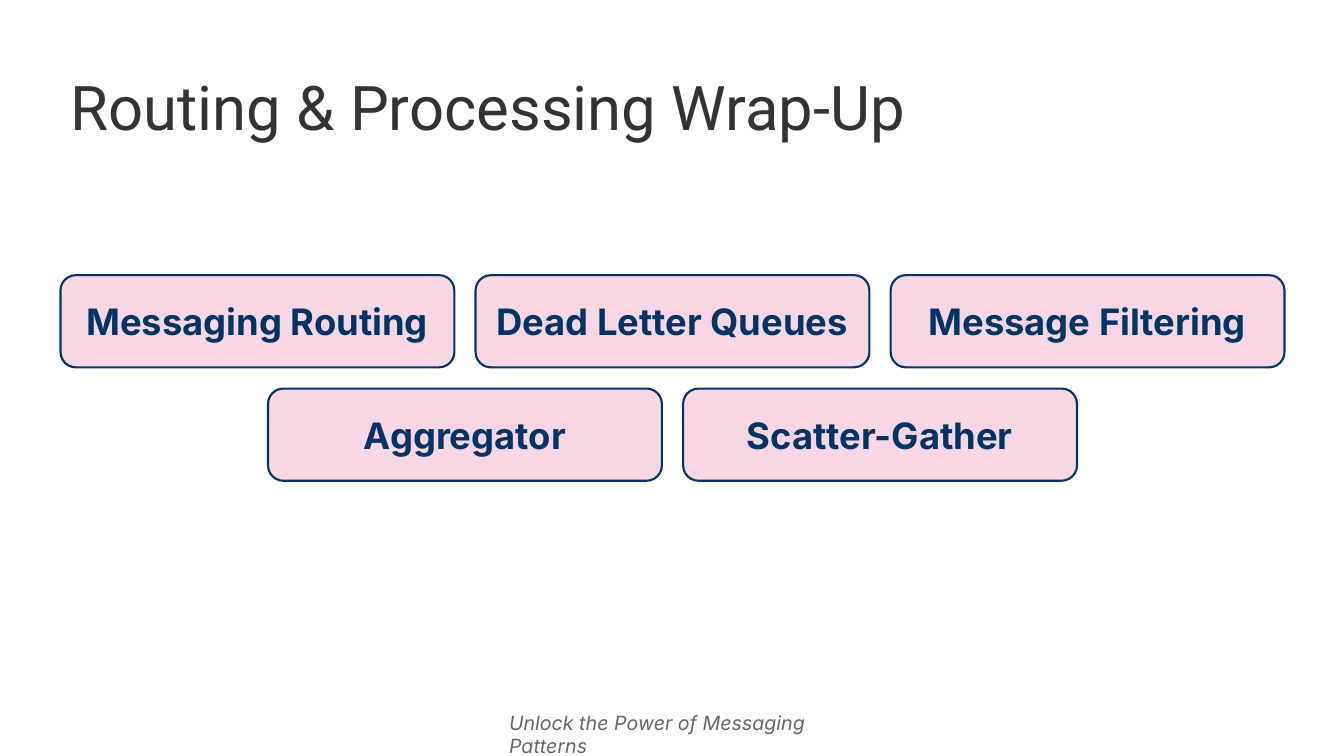
from dataclasses import dataclass

from lxml import etree
from pptx import Presentation
from pptx.dml.color import RGBColor
from pptx.enum.shapes import MSO_SHAPE
from pptx.enum.text import MSO_ANCHOR, PP_ALIGN
from pptx.oxml.ns import qn
from pptx.util import Inches, Pt

ROUNDED = MSO_SHAPE.ROUNDED_RECTANGLE
MIDDLE = MSO_ANCHOR.MIDDLE
LEFT, CENTER = PP_ALIGN.LEFT, PP_ALIGN.CENTER
TITLE_ONLY = 5


@dataclass(frozen=True)
class Theme:
    title_font: str = "Roboto"
    body_font: str = "Inter"
    title_color: str = "333333"
    card_ink: str = "003366"
    card_fill: str = "DD3377"
    footer_color: str = "666666"
    title_size: int = 44
    card_size: int = 26
    footer_size: int = 14
    card_opacity: int = 20
    card_line: float = 1.5


THEME = Theme()
TOPIC_ROWS = [
    ["Messaging Routing", "Dead Letter Queues", "Message Filtering"],
    ["Aggregator", "Scatter-Gather"],
]


def style(paragraph, name, size, color, align=LEFT):
    paragraph.alignment = align
    font = paragraph.font
    font.name, font.size = name, Pt(size)
    font.color.rgb = RGBColor.from_string(color)
    return font


def add_title(slide, box, text):
    title = slide.shapes.title
    title.left, title.top, title.width, title.height = map(Inches, box)
    frame = title.text_frame
    frame.text = text
    frame.vertical_anchor = MIDDLE
    paragraph = frame.paragraphs[0]
    paragraph.line_spacing = 0.9
    style(paragraph, THEME.title_font, THEME.title_size, THEME.title_color)


def add_footer(slide, box, text):
    frame = slide.shapes.add_textbox(*map(Inches, box)).text_frame
    frame.word_wrap = True
    frame.text = text
    style(frame.paragraphs[0], THEME.body_font, THEME.footer_size,
          THEME.footer_color).italic = True


def add_card(slide, box, text):
    card = slide.shapes.add_shape(ROUNDED, *map(Inches, box))
    card.shadow.inherit = False
    # Translucent fill and solid outline
    card.fill.solid()
    card.fill.fore_color.rgb = RGBColor.from_string(THEME.card_fill)
    color = card.fill._xPr.find(qn("a:solidFill"))[0]
    etree.SubElement(color, qn("a:alpha"), val=str(THEME.card_opacity * 1000))
    card.line.color.rgb = RGBColor.from_string(THEME.card_ink)
    card.line.width = Pt(THEME.card_line)
    # Label
    frame = card.text_frame
    frame.text = text
    frame.vertical_anchor = MIDDLE
    style(frame.paragraphs[0], THEME.body_font, THEME.card_size,
          THEME.card_ink, CENTER).bold = True


def add_card_rows(slide, box, rows, gap):
    """Equal cards in rows, each row centred in the box."""
    left, top, width, height = box
    columns = max(len(row) for row in rows)
    card_width = (width - gap * (columns - 1)) / columns
    card_height = (height - gap * (len(rows) - 1)) / len(rows)
    for row_index, row in enumerate(rows):
        row_width = len(row) * (card_width + gap) - gap
        row_left = left + (width - row_width) / 2
        card_top = top + row_index * (card_height + gap)
        for column, text in enumerate(row):
            card_left = row_left + column * (card_width + gap)
            add_card(slide, (card_left, card_top, card_width, card_height), text)


def main():
    presentation = Presentation()
    presentation.slide_width = Inches(13.33)
    presentation.slide_height = Inches(7.5)
    slide = presentation.slides.add_slide(presentation.slide_layouts[TITLE_ONLY])
    add_footer(slide, (4.95, 7, 3.42, 0.34), "Unlock the Power of Messaging Patterns")
    add_title(slide, (0.6, 0.5, 12.14, 1.2), "Routing & Processing Wrap-Up")
    add_card_rows(slide, (0.6, 2.73, 12.14, 2.04), TOPIC_ROWS, gap=0.21)
    presentation.save("out.pptx")


if __name__ == "__main__":
    main()
